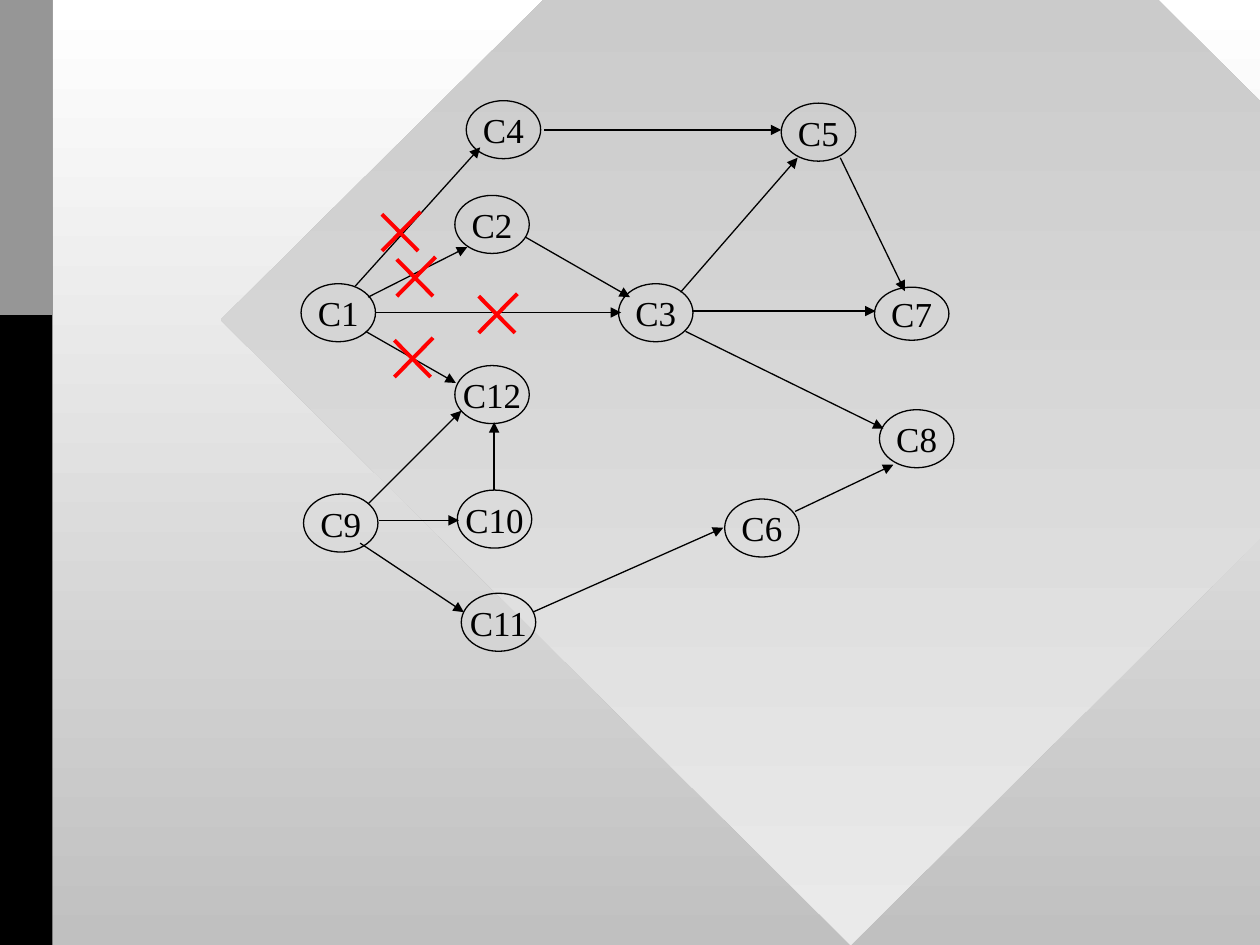
from dataclasses import dataclass

from lxml import etree
from pptx import Presentation
from pptx.dml.color import RGBColor
from pptx.enum.shapes import MSO_CONNECTOR, MSO_SHAPE
from pptx.enum.text import MSO_ANCHOR, PP_ALIGN
from pptx.oxml.ns import qn
from pptx.util import Cm, Pt

DIAMOND, RECTANGLE, ELLIPSE = MSO_SHAPE.DIAMOND, MSO_SHAPE.RECTANGLE, MSO_SHAPE.OVAL
STRAIGHT = MSO_CONNECTOR.STRAIGHT
MIDDLE, CENTER = MSO_ANCHOR.MIDDLE, PP_ALIGN.CENTER


@dataclass(frozen=True)
class Theme:
    font: str = "Times New Roman"
    node_size: int = 20
    ink: str = "000000"
    accent: str = "FF0000"
    band: str = "969696"
    page: tuple = ("FFFFFF", "C0C0C0")
    diamond: tuple = ("C0C0C0", "EAEAEA")
    thin: float = 0.75
    thick: float = 2.25


THEME = Theme()

# All lengths are in centimetres.
SLIDE_BOX = (0, 0, 25.4, 19.05)
GRAPH_LEFT, GRAPH_TOP = 6.07, 2.03
NODE_WIDTH, NODE_HEIGHT = 1.5, 1.17
FLAT_NODES = {"C7": 1.07}
NODES = {
    "C1": (0, 3.69), "C2": (3.1, 1.91), "C3": (6.4, 3.69), "C4": (3.33, 0),
    "C5": (9.68, 0.05), "C6": (8.54, 8.03), "C7": (11.56, 3.76),
    "C8": (11.66, 6.23), "C9": (0.05, 7.93), "C10": (3.15, 7.85),
    "C11": (3.23, 9.93), "C12": (3.1, 5.34),
}
ARROWS = {
    ("C1", "C3"): (1.5, 4.27, 6.45, 4.27),
    ("C1", "C2"): (1.35, 3.96, 3.35, 2.95),
    ("C2", "C3"): (4.52, 2.75, 6.63, 3.96),
    ("C1", "C4"): (1.09, 3.74, 3.61, 0.94),
    ("C4", "C5"): (4.9, 0.59, 9.68, 0.59),
    ("C3", "C5"): (7.65, 3.86, 10.01, 1.15),
    ("C3", "C7"): (7.9, 4.24, 11.58, 4.24),
    ("C5", "C7"): (10.87, 1.15, 12.17, 3.84),
    ("C1", "C12"): (1.3, 4.65, 3.12, 5.69),
    ("C9", "C12"): (1.35, 8.13, 3.23, 6.25),
    ("C9", "C10"): (1.58, 8.46, 3.18, 8.46),
    ("C10", "C12"): (3.89, 7.85, 3.89, 6.48),
    ("C9", "C11"): (1.19, 8.92, 3.28, 10.31),
    ("C11", "C6"): (4.67, 10.31, 8.51, 8.61),
    ("C6", "C8"): (9.96, 8.28, 11.94, 7.34),
    ("C3", "C8"): (7.75, 4.65, 11.74, 6.61),
}
CROSSES = [(1.63, 2.24), (1.93, 3.15), (3.58, 3.89), (1.88, 4.78)]
CROSS_STROKES = [(0, 0.05, 0.73, 0.79), (0.78, 0, 0, 0.79)]


def color(value):
    return RGBColor.from_string(value)


def fill_downward(fill, colors):
    """Fill with a gradient that runs from top to bottom."""
    fill.gradient()
    fill.gradient_angle = 270
    for stop, value in zip(fill.gradient_stops, colors):
        stop.color.rgb = color(value)


def add_shape(shapes, kind, box, fill=None, line=None):
    shape = shapes.add_shape(kind, *map(Cm, box))
    shape.shadow.inherit = False
    if fill is None:
        shape.fill.background()
    elif isinstance(fill, tuple):
        fill_downward(shape.fill, fill)
    else:
        shape.fill.solid()
        shape.fill.fore_color.rgb = color(fill)
    if line is None:
        shape.line.fill.background()
    else:
        shape.line.color.rgb = color(line)
        shape.line.width = Pt(THEME.thin)
    return shape


def write_text(shape, text, *, size, ink, align=CENTER, anchor=MIDDLE, wrap=False):
    frame = shape.text_frame
    frame.word_wrap = wrap
    frame.vertical_anchor = anchor
    paragraph = frame.paragraphs[0]
    paragraph.alignment = align
    run = paragraph.add_run()
    run.text = text
    run.font.name = THEME.font
    run.font.size = Pt(size)
    run.font.color.rgb = color(ink)


def add_line(shapes, left, top, ends, *, ink, width, arrow=False):
    x1, y1, x2, y2 = ends
    connector = shapes.add_connector(
        STRAIGHT, Cm(left + x1), Cm(top + y1), Cm(left + x2), Cm(top + y2))
    connector.line.color.rgb = color(ink)
    connector.line.width = Pt(width)
    properties = connector._element.spPr
    if arrow:
        etree.SubElement(properties.find(qn("a:ln")), qn("a:tailEnd"), type="triangle")
    etree.SubElement(properties, qn("a:effectLst"))


def draw_backdrop(slide, box):
    left, top, width, height = box
    fill_downward(slide.background.fill, THEME.page)
    add_shape(slide.shapes, DIAMOND,
              (left + 4.45, top - 6.15, 25.4, height + 6.15), THEME.diamond)
    band_width = width / 24
    add_shape(slide.shapes, RECTANGLE, (left, top, band_width, height), THEME.ink)
    add_shape(slide.shapes, RECTANGLE, (left, top, band_width, height / 3), THEME.band)


def draw_graph(slide, left, top):
    shapes = slide.shapes.add_group_shape().shapes
    for name, (x, y) in NODES.items():
        height = FLAT_NODES.get(name, NODE_HEIGHT)
        node = add_shape(shapes, ELLIPSE, (left + x, top + y, NODE_WIDTH, height),
                         line=THEME.ink)
        write_text(node, name, size=THEME.node_size, ink=THEME.ink)
    for ends in ARROWS.values():
        add_line(shapes, left, top, ends, ink=THEME.ink, width=THEME.thin, arrow=True)


def draw_crosses(slide, left, top):
    """Strike out the arrows that leave C1."""
    shapes = slide.shapes.add_group_shape().shapes
    for x, y in CROSSES:
        for stroke in CROSS_STROKES:
            add_line(shapes, left + x, top + y, stroke,
                     ink=THEME.accent, width=THEME.thick)


def main():
    presentation = Presentation()
    presentation.slide_width, presentation.slide_height = map(Cm, SLIDE_BOX[2:])
    slide = presentation.slides.add_slide(presentation.slide_layouts[6])
    draw_backdrop(slide, SLIDE_BOX)
    draw_graph(slide, GRAPH_LEFT, GRAPH_TOP)
    draw_crosses(slide, GRAPH_LEFT, GRAPH_TOP)
    presentation.save("out.pptx")


if __name__ == "__main__":
    main()
